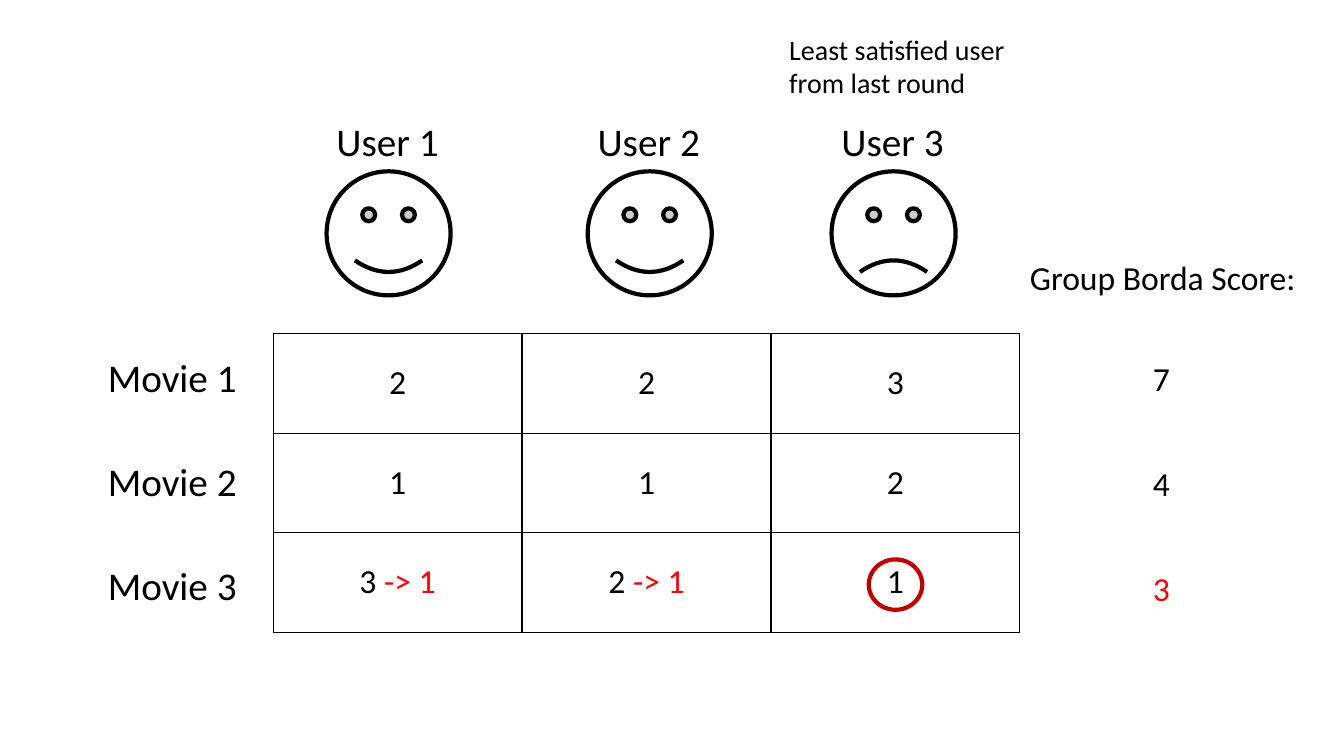
from dataclasses import dataclass

from lxml import etree
from pptx import Presentation
from pptx import util as u
from pptx.dml.color import RGBColor
from pptx.enum import shapes, text
from pptx.oxml import ns


@dataclass(frozen=True)
class Theme:
    """Colours and type sizes of the slide."""
    font: str = "Calibri"
    ink: str = "000000"
    paper: str = "FFFFFF"
    changed: str = "FF0000"
    ring: str = "C00000"
    label: int = 28
    value: int = 24
    note: int = 20
    outline: int = 3
    border: int = 1


T = Theme()
USERS = (("User 1", 233.3, True), ("User 2", 419.8, True), ("User 3", 594, False))
MOVIES = ("Movie 1", "Movie 2", "Movie 3")
# A rating is its value, followed by the revised value if there is one.
RATINGS = (("2", "2", "3"), ("1", "1", "2"), ("3 -> 1", "2 -> 1", "1"))
SCORES = (("7", T.ink), ("4", T.ink), ("3", T.changed))
FACE_SIZE = 88.6


def rgb(color):
    """Turn a hex string into a colour."""
    return RGBColor.from_string(color)


def style(font, size, color=None):
    """Set typeface and size, and the colour if given."""
    font.name, font.size = T.font, u.Pt(size)
    if color:
        font.color.rgb = rgb(color)


def add_label(s, words, x, y, w, h, size, color=T.ink):
    """Add a wrapped, left-aligned text box."""
    tf = s.shapes.add_textbox(u.Pt(x), u.Pt(y), u.Pt(w), u.Pt(h)).text_frame
    tf.word_wrap = True
    p = tf.paragraphs[0]
    p.text = words
    style(p.font, size, color)


def add_outlined(s, kind, x, y, w, h, color, fill=None):
    """Add a preset shape with a thick outline and an optional fill."""
    sp = s.shapes.add_shape(kind, u.Pt(x), u.Pt(y), u.Pt(w), u.Pt(h))
    sp.shadow.inherit = False
    if fill:
        sp.fill.solid()
        sp.fill.fore_color.rgb = rgb(fill)
    else:
        sp.fill.background()
    sp.line.color.rgb = rgb(color)
    sp.line.width = u.Pt(T.outline)
    return sp


def add_user(s, name, x, happy):
    """Add a named face that smiles or frowns."""
    sp = add_outlined(s, shapes.MSO_SHAPE.SMILEY_FACE, x, 122.4,
                      FACE_SIZE, FACE_SIZE, T.ink, T.paper)
    if not happy:
        sp.adjustments[0] = -0.047
    add_label(s, name, x, 80.6, FACE_SIZE, 41, T.label)


def add_borders(cell):
    """Draw all four cell borders."""
    tc_pr = cell._tc.get_or_add_tcPr()
    for i, side in enumerate(("a:lnL", "a:lnR", "a:lnT", "a:lnB")):
        ln = etree.Element(ns.qn(side), w=str(u.Pt(T.border)))
        fill = etree.SubElement(ln, ns.qn("a:solidFill"))
        etree.SubElement(fill, ns.qn("a:srgbClr"), val=T.ink)
        tc_pr.insert(i, ln)


def fill_cell(cell, rating):
    """Write a centred rating, with its revision in the accent colour."""
    cell.fill.background()
    cell.vertical_anchor = text.MSO_ANCHOR.MIDDLE
    p = cell.text_frame.paragraphs[0]
    p.alignment = text.PP_ALIGN.CENTER
    style(p.font, T.value)
    before, arrow, after = rating.partition("->")
    for words, color in ((before, T.ink), (arrow + after, T.changed)):
        if words:
            r = p.add_run()
            r.text = words
            style(r.font, T.value, color)
    add_borders(cell)


def add_ratings(s):
    """Add the table of ratings, one row per movie and one column per user."""
    tbl = s.shapes.add_table(len(MOVIES), len(USERS), u.Pt(195.1), u.Pt(238.3),
                             u.Pt(533.4), u.Pt(213.3)).table
    tbl.first_row = tbl.horz_banding = False
    for row, ratings in zip(tbl.rows, RATINGS):
        for cell, rating in zip(row.cells, ratings):
            fill_cell(cell, rating)


def main():
    """Build and save the slide."""
    prs = Presentation()
    prs.slide_width, prs.slide_height = u.Pt(960), u.Pt(540)
    s = prs.slides.add_slide(prs.slide_layouts[6])
    for user in USERS:
        add_user(s, *user)
    add_ratings(s)
    for i, (movie, (score, color)) in enumerate(zip(MOVIES, SCORES)):
        add_label(s, movie, 70, 249.1 + 74.2 * i, 109.4, 41, T.label)
        add_label(s, score, 816.5, 252 + 74.9 * i, 30, 36, T.value, color)
    add_label(s, "Group Borda Score:", 728.6, 180, 205.2, 36, T.value)
    add_outlined(s, shapes.MSO_SHAPE.OVAL, 620.6, 399.6, 38.2, 36, T.ring)
    add_label(s, "Least satisfied user from last round", 556.6, 19.4, 205.2, 55.4, T.note)
    prs.save("out.pptx")


main()
